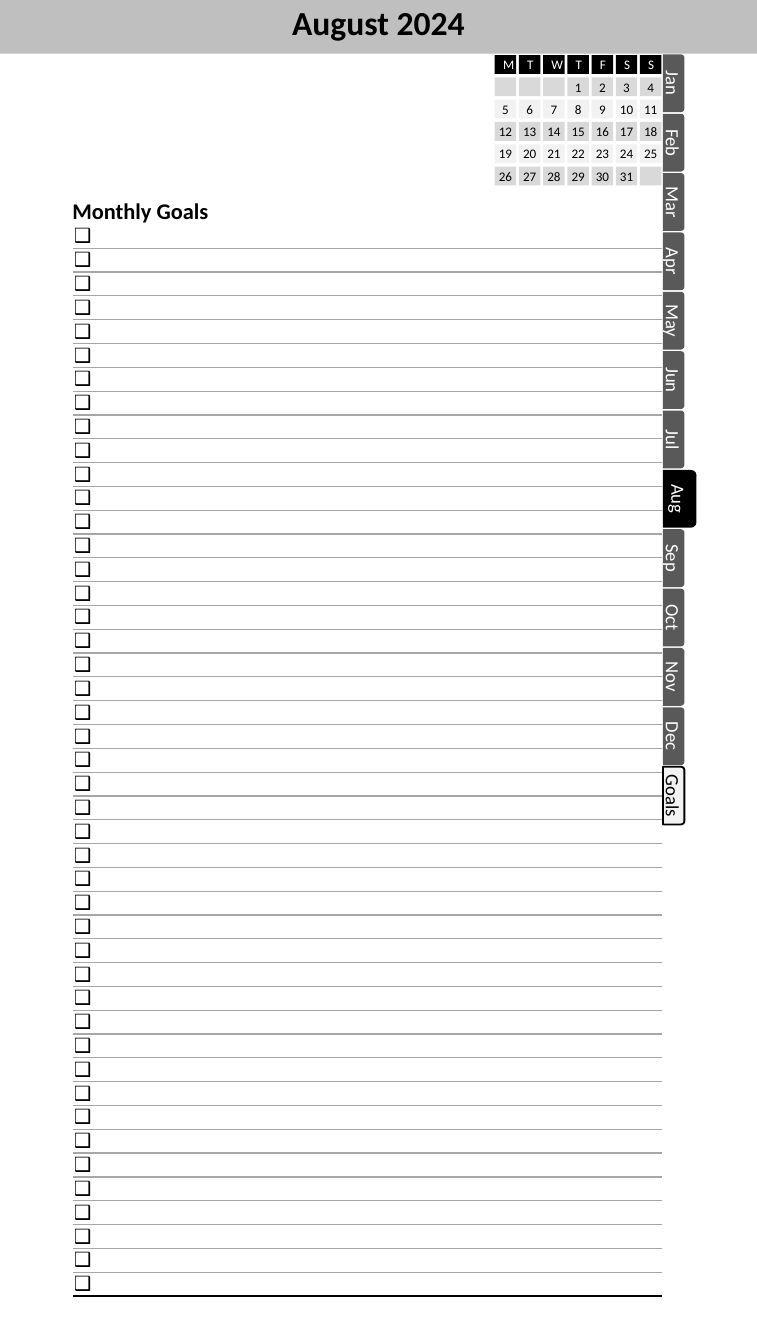
from lxml import etree
from pptx import Presentation
from pptx.dml.color import RGBColor
from pptx.enum.shapes import MSO_SHAPE
from pptx.enum.text import MSO_ANCHOR, PP_ALIGN
from pptx.oxml.ns import qn
from pptx.util import Inches, Pt

RECTANGLE, TAB = MSO_SHAPE.RECTANGLE, MSO_SHAPE.ROUND_2_SAME_RECTANGLE
CENTER, LEFT = PP_ALIGN.CENTER, PP_ALIGN.LEFT
TOP, MIDDLE = MSO_ANCHOR.TOP, MSO_ANCHOR.MIDDLE

# Content
TITLE = "August 2024"
HEADING = "Monthly Goals"
WEEKDAYS = ["M", "T", "W", "T", "F", "S", "S"]
FIRST_COLUMN, DAY_COUNT, WEEK_COUNT = 3, 31, 5
TABS = ["Jan", "Feb", "Mar", "Apr", "May", "Jun", "Jul", "Aug",
        "Sep", "Oct", "Nov", "Dec", "Goals"]
CURRENT_TAB, GOALS_TAB = "Aug", "Goals"
GOAL_COUNT, CHECKBOX = 45, "❑"

THEME = {
    "font": "Calibri",
    "black": "000000", "white": "FFFFFF", "banner": "BFBFBF", "tab": "595959",
    "dark_week": "D9D9D9", "light": "F2F2F2", "rule": "A6A6A6",
    "title": 18, "heading": 12, "tab_text": 10, "goal": 10.5, "day": 7,
}

# Layout in inches
WIDTH, HEIGHT = 5.63, 10
BANNER_HEIGHT = 0.04 * HEIGHT
CALENDAR = {"left": 3.68, "top": 0.41, "last": 1.24, "column": 0.18,
            "width": 0.16, "height": 0.14}
TAB_GRID = {"left": 4.93, "first": 0.62, "last": 5.92, "length": 0.43,
            "depth": 0.16, "current_depth": 0.25}
GOALS = {"left": 0.55, "top": 1.67, "width": 4.37, "height": 7.98}


def color(name):
    return RGBColor.from_string(THEME[name])


def write(frame, text, size, ink="black", bold=False, align=CENTER,
          anchor=MIDDLE, margins=(0, 0), wrap=True):
    horizontal, vertical = map(Inches, margins)
    frame_format = {"word_wrap": wrap, "vertical_anchor": anchor,
                    "margin_left": horizontal, "margin_right": horizontal,
                    "margin_top": vertical, "margin_bottom": vertical}
    for name, value in frame_format.items():
        setattr(frame, name, value)
    paragraph = frame.paragraphs[0]
    paragraph.alignment = align
    run = paragraph.add_run()
    run.text = text
    font_format = {"name": THEME["font"], "size": Pt(THEME[size]), "bold": bold}
    for name, value in font_format.items():
        setattr(run.font, name, value)
    run.font.color.rgb = color(ink)
    return paragraph


def add_box(shapes, kind, box, fill, outline=None):
    shape = shapes.add_shape(kind, *map(Inches, box))
    shape.shadow.inherit = False
    shape.fill.solid()
    shape.fill.fore_color.rgb = color(fill)
    if outline:
        shape.line.color.rgb = color(outline)
        shape.line.width = Pt(1)
    else:
        shape.line.fill.background()
    return shape


def add_borders(cell, borders):
    properties = cell._tc.get_or_add_tcPr()
    for position, (side, ink, width) in enumerate(borders):
        line = etree.Element(qn(f"a:ln{side}"), w=str(Pt(width)))
        fill = etree.SubElement(line, qn("a:solidFill"))
        etree.SubElement(fill, qn("a:srgbClr"), val=THEME[ink])
        properties.insert(position, line)


def add_checkbox_bullet(paragraph):
    properties = paragraph._p.get_or_add_pPr()
    indent = Inches(0.18)
    properties.set("marL", str(indent))
    properties.set("indent", str(-indent))
    etree.SubElement(properties, qn("a:buFont"), typeface=THEME["font"])
    etree.SubElement(properties, qn("a:buChar"), char=CHECKBOX)


def add_banner(slide):
    add_box(slide.shapes, RECTANGLE, (0, 0, WIDTH, BANNER_HEIGHT), "banner")
    title = slide.shapes.add_textbox(*map(Inches, (1.27, 0, 3.09, BANNER_HEIGHT)))
    paragraph = write(title.text_frame, TITLE, "title", bold=True, anchor=TOP,
                      margins=(0.1, 0.05))
    paragraph.line_spacing = 0.9


def add_goals(slide):
    heading = slide.shapes.add_textbox(*map(Inches, (0.44, 1.42, 1.23, 0.3)))
    write(heading.text_frame, HEADING, "heading", bold=True, align=LEFT,
          anchor=TOP, margins=(0.1, 0.05), wrap=False)
    box = [Inches(GOALS[key]) for key in ("left", "top", "width", "height")]
    table = slide.shapes.add_table(GOAL_COUNT, 1, *box).table
    table.first_row = table.horz_banding = False
    for index, row in enumerate(table.rows):
        row.height = Inches(GOALS["height"] / GOAL_COUNT)
        cell = row.cells[0]
        for side in ("left", "right", "top", "bottom"):
            setattr(cell, f"margin_{side}", 0)
        cell.vertical_anchor = MIDDLE
        cell.fill.background()
        # Neighbouring cells both state the rule they share
        is_last = index == GOAL_COUNT - 1
        borders = [("T", "rule", 0.75)] if index else []
        borders.append(("B", "black", 1) if is_last else ("B", "rule", 0.75))
        add_borders(cell, borders)
        # A bullet is drawn only beside a paragraph that holds a run
        paragraph = cell.text_frame.paragraphs[0]
        run = paragraph.add_run()
        run.text = " "
        run.font.name, run.font.size = THEME["font"], Pt(THEME["goal"])
        run.font.color.rgb = color("black")
        add_checkbox_bullet(paragraph)


def add_tabs(slide):
    pitch = (TAB_GRID["last"] - TAB_GRID["first"]) / (len(TABS) - 1)
    length = TAB_GRID["length"]
    for index, label in enumerate(TABS):
        fill, ink, outline, depth = "tab", "white", None, TAB_GRID["depth"]
        if label == CURRENT_TAB:
            fill, depth = "black", TAB_GRID["current_depth"]
        elif label == GOALS_TAB:
            fill, ink, outline = "light", "black", "black"
        # Place the unrotated box around the centre of the turned tab
        left = TAB_GRID["left"] + depth / 2 - length / 2
        top = TAB_GRID["first"] + index * pitch - depth / 2
        tab = add_box(slide.shapes, TAB, (left, top, length, depth), fill, outline)
        tab.rotation = 90
        write(tab.text_frame, label, "tab_text", ink)


def add_calendar(slide):
    days = [""] * FIRST_COLUMN + [str(day + 1) for day in range(DAY_COUNT)]
    days += [""] * (WEEK_COUNT * len(WEEKDAYS) - len(days))
    pitch = (CALENDAR["last"] - CALENDAR["top"]) / WEEK_COUNT
    group = slide.shapes.add_group_shape()
    for index, label in enumerate(WEEKDAYS + days):
        row, column = divmod(index, len(WEEKDAYS))
        box = (CALENDAR["left"] + column * CALENDAR["column"],
               CALENDAR["top"] + row * pitch,
               CALENDAR["width"], CALENDAR["height"])
        is_header = row == 0
        fill = "black" if is_header else "dark_week" if row % 2 else "light"
        shape = add_box(group.shapes, RECTANGLE, box, fill)
        if label:
            write(shape.text_frame, label, "day", "white" if is_header else "black",
                  margins=(0.1, 0.05) if is_header else (0, 0))


def main():
    presentation = Presentation()
    presentation.slide_width = Inches(WIDTH)
    presentation.slide_height = Inches(HEIGHT)
    slide = presentation.slides.add_slide(presentation.slide_layouts[6])
    add_banner(slide)
    add_goals(slide)
    add_tabs(slide)
    add_calendar(slide)
    presentation.save("out.pptx")


if __name__ == "__main__":
    main()
